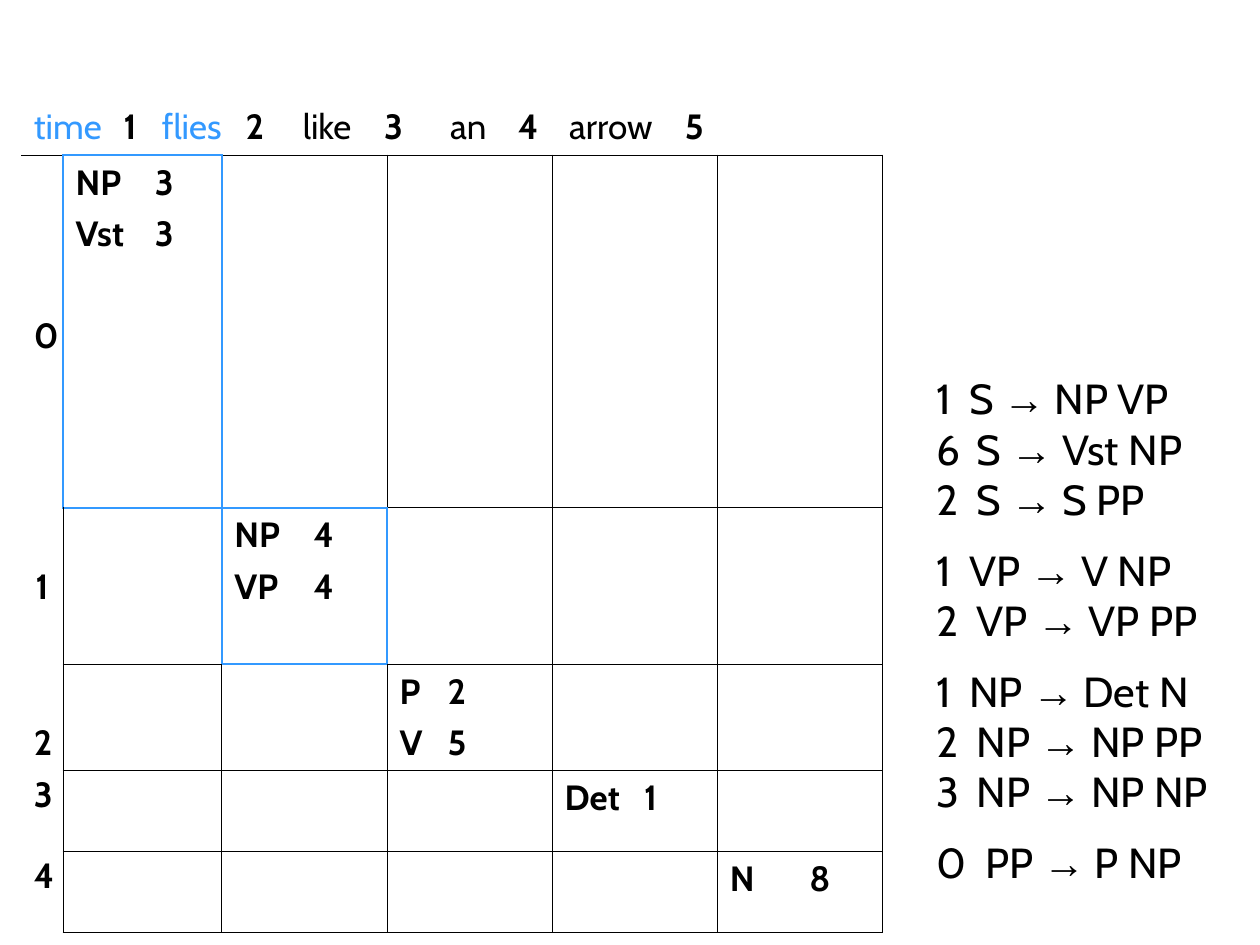
import pptx
import pptx.dml.color
import pptx.enum.text
import pptx.oxml
import pptx.oxml.ns
import pptx.util
from lxml import etree

Cm = pptx.util.Cm
Pt = pptx.util.Pt
BLACK = pptx.dml.color.RGBColor(0x00, 0x00, 0x00)
BLUE = pptx.dml.color.RGBColor(0x33, 0x99, 0xFF)
CENTER = pptx.enum.text.PP_ALIGN.CENTER
PLAIN_GRID = "{2D5ABB26-0587-4C30-8999-92F81FD0307C}"

THIN = (BLACK, 0.45)
THICK = (BLACK, 1.08)
ACTIVE = (BLUE, 1.08)

COLUMN_WIDTHS = [0.84, 3.2, 3.33, 3.33, 3.33, 3.33]
ROW_HEIGHTS = [1.09, 7.11, 3.15, 2.13, 1.63, 1.63]
SENTENCE = ["time", "1", "flies", "2", "like", "3", "an", "4", "arrow", "5"]
SENTENCE_TABS = [1.81, 2.58, 4.27, 5.42, 7.06, 8.39, 9.76, 10.79, 13.12]
ACTIVE_WORDS = {"time", "flies"}
ACTIVE_CELLS = {(1, 1), (2, 2)}
ROW_LABELS = [("0", None), ("1", 2.2), ("2", 2.2), ("3", 0.9), ("4", 0.9)]
CHART_ENTRIES = [
    (["NP\t3", "Vst\t3"], 1.6),
    (["NP\t4", "VP\t4"], 1.6),
    (["P\t2", "V\t5"], 0.97),
    (["Det\t1"], 1.6),
    (["N\t8"], 1.6),
]
RULE_GROUPS = [
    [("1", "S", "NP VP"), ("6", "S", "Vst NP"), ("2", "S", "S PP")],
    [("1", "VP", "V NP"), ("2", "VP", "VP PP")],
    [("1", "NP", "Det N"), ("2", "NP", "NP PP"), ("3", "NP", "NP NP")],
    [("0", "PP", "P NP")],
]
SYMBOL_TABS = {"0": 1.0, "1": 0.67}


def set_tabs(paragraph, stops):
    properties = paragraph._p.get_or_add_pPr()
    tab_list = etree.SubElement(properties, pptx.oxml.ns.qn("a:tabLst"))
    for stop in stops:
        tab = etree.SubElement(tab_list, pptx.oxml.ns.qn("a:tab"))
        tab.set("pos", str(int(Cm(stop))))
        tab.set("algn", "l")


def set_font(font, size, bold=False, color=BLACK):
    font.name = "Cabin"
    font.size = Pt(size)
    font.bold = bold
    font.color.rgb = color


def next_paragraph(frame, index):
    return frame.paragraphs[0] if index == 0 else frame.add_paragraph()


def set_borders(cell, **borders):
    cell.fill.background()
    properties = cell._tc.get_or_add_tcPr()
    for position, side in enumerate("LRTB"):
        line = etree.Element(pptx.oxml.ns.qn(f"a:ln{side}"))
        if side in borders:
            color, width = borders[side]
            line.set("w", str(int(Pt(width))))
            fill = etree.SubElement(line, pptx.oxml.ns.qn("a:solidFill"))
            etree.SubElement(fill, pptx.oxml.ns.qn("a:srgbClr")).set("val", str(color))
        else:
            etree.SubElement(line, pptx.oxml.ns.qn("a:noFill"))
        properties.insert(position, line)


def edge(cell, neighbour, default):
    return ACTIVE if ACTIVE_CELLS & {cell, neighbour} else default


def border_grid(table):
    last_row, last_column = len(ROW_HEIGHTS) - 1, len(COLUMN_WIDTHS) - 1
    for row in range(1, last_row + 1):
        set_borders(table.cell(row, 0), R=edge((row, 0), (row, 1), THIN))
        for column in range(1, last_column + 1):
            here = (row, column)
            set_borders(
                table.cell(row, column),
                L=edge(here, (row, column - 1), THIN),
                R=edge(here, (row, column + 1), THICK if column == last_column else THIN),
                T=edge(here, (row - 1, column), THIN),
                B=edge(here, (row + 1, column), THICK if row == last_row else THIN),
            )


def write_sentence(cell):
    paragraph = cell.text_frame.paragraphs[0]
    set_tabs(paragraph, SENTENCE_TABS)
    for index, word in enumerate(SENTENCE):
        run = paragraph.add_run()
        run.text = word if index == 0 else "\t" + word
        color = BLUE if word in ACTIVE_WORDS else BLACK
        set_font(run.font, 20, word.isdigit(), color)


def write_row_label(cell, label, spacing):
    paragraph = cell.text_frame.paragraphs[0]
    paragraph.text = label
    paragraph.alignment = CENTER
    if spacing:
        paragraph.line_spacing = spacing
    set_font(paragraph.font, 20, True)


def write_entries(cell, entries, tab):
    for index, entry in enumerate(entries):
        paragraph = next_paragraph(cell.text_frame, index)
        paragraph.text = entry
        if index:
            paragraph.space_before = Pt(5)
        set_tabs(paragraph, [tab])
        set_font(paragraph.font, 20, True)


def add_parse_chart(slide):
    frame = slide.shapes.add_table(
        len(ROW_HEIGHTS), len(COLUMN_WIDTHS), Cm(0.43), Cm(2.01),
        Cm(sum(COLUMN_WIDTHS)), Cm(sum(ROW_HEIGHTS)))
    table = frame.table
    table.first_row = False
    table.horz_banding = False
    table._tbl.tblPr.find(pptx.oxml.ns.qn("a:tableStyleId")).text = PLAIN_GRID
    for column, width in zip(table.columns, COLUMN_WIDTHS):
        column.width = Cm(width)
    for row, height in zip(table.rows, ROW_HEIGHTS):
        row.height = Cm(height)

    heading = table.cell(0, 0)
    heading.merge(table.cell(0, len(COLUMN_WIDTHS) - 1))
    set_borders(heading, B=THIN)
    write_sentence(heading)
    border_grid(table)
    for row, (label, spacing) in enumerate(ROW_LABELS, start=1):
        write_row_label(table.cell(row, 0), label, spacing)
    table.cell(1, 0).margin_top = Cm(3.21)
    for position, (entries, tab) in enumerate(CHART_ENTRIES, start=1):
        write_entries(table.cell(position, position), entries, tab)


def add_grammar(slide):
    grammar = slide.shapes.add_textbox(Cm(18.62), Cm(7.39), Cm(6.78), Cm(10.62))
    frame = grammar.text_frame
    frame.word_wrap = True
    rules = [(group, rule) for group in RULE_GROUPS for rule in group]
    for index, (group, rule) in enumerate(rules):
        weight, symbol, expansion = rule
        paragraph = next_paragraph(frame, index)
        if index and rule == group[0]:
            paragraph.line_spacing = 1.4
        set_tabs(paragraph, [SYMBOL_TABS.get(weight, 0.82)])
        for text in (f"{weight}\t{symbol} ", "→", f" {expansion}"):
            run = paragraph.add_run()
            run.text = text
            set_font(run.font, 24)
            if text == "→":
                run.font.name = "Arial"


def main():
    presentation = pptx.Presentation()
    presentation.slide_width = Cm(25.4)
    presentation.slide_height = Cm(19.05)
    slide = presentation.slides.add_slide(presentation.slide_layouts[6])
    add_parse_chart(slide)
    add_grammar(slide)
    presentation.save("out.pptx")


if __name__ == "__main__":
    main()
